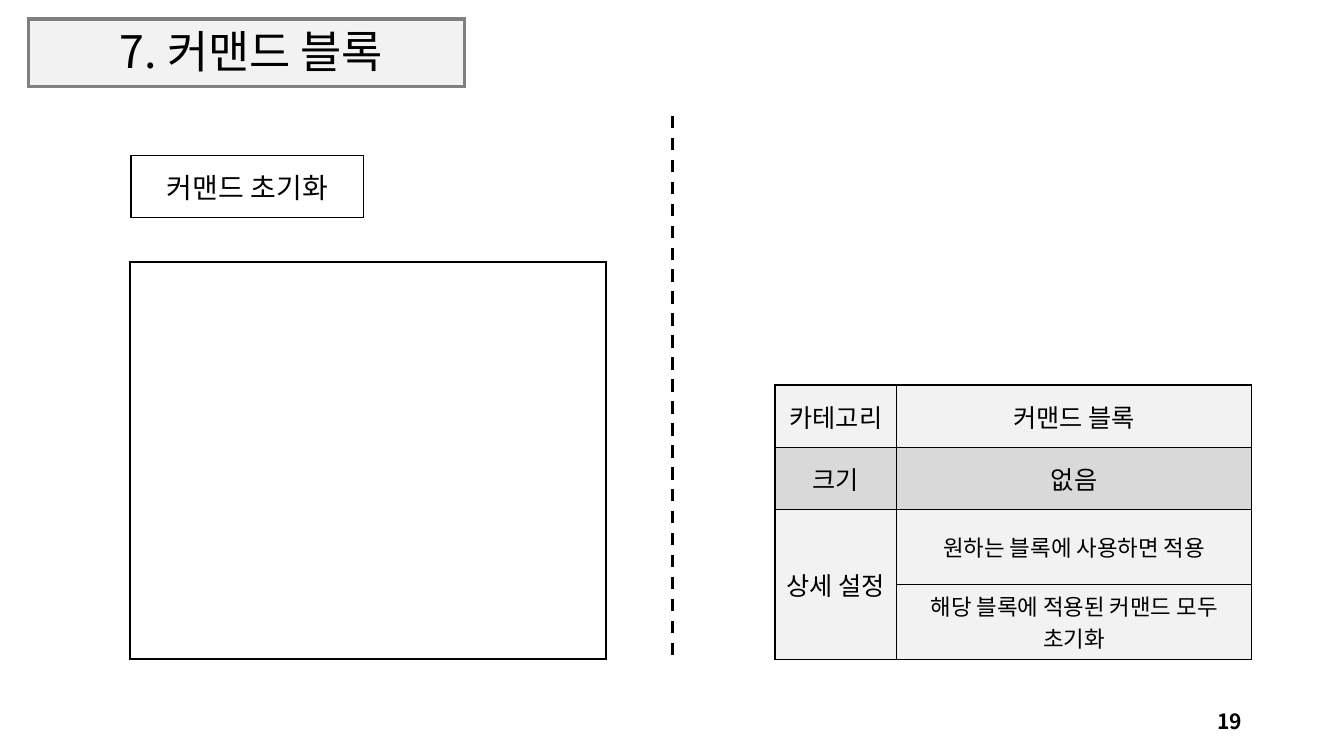
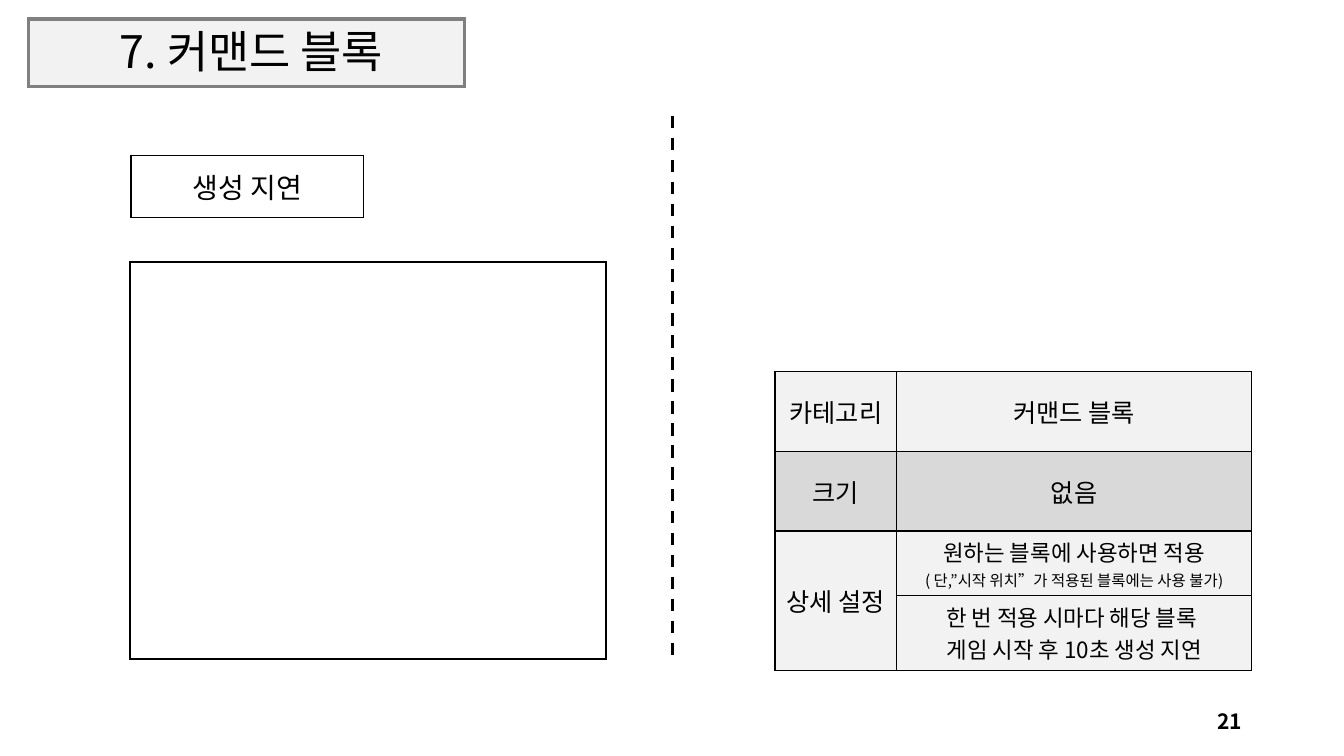
from pptx import Presentation
from pptx.dml.color import RGBColor
from pptx.enum.dml import MSO_LINE
from pptx.enum.shapes import MSO_CONNECTOR, MSO_SHAPE
from pptx.enum.text import MSO_ANCHOR, MSO_AUTO_SIZE, PP_ALIGN
from pptx.oxml import parse_xml
from pptx.oxml.ns import nsdecls
from pptx.util import Cm, Pt

FONT = "Noto Sans CJK KR"
BLACK = RGBColor(0x00, 0x00, 0x00)
WHITE = RGBColor(0xFF, 0xFF, 0xFF)
PALE = RGBColor(0xF2, 0xF2, 0xF2)
SILVER = RGBColor(0xD9, 0xD9, 0xD9)
GRAY = RGBColor(0x80, 0x80, 0x80)

BAND = (Cm(0.71), Cm(0.48), Cm(11), Cm(1.7))
TITLE = (Cm(1.07), Cm(0.46), Cm(10.54), Cm(1.65))
TAG = (Cm(3.3), Cm(3.91), Cm(5.87), Cm(1.57))
FRAME = (Cm(3.28), Cm(6.6), Cm(12), Cm(10.01))
PAGE = (Cm(23.93), Cm(17.65), Cm(7.62), Cm(1.02))
MID = Cm(16.94)
TOP, BASE = Cm(2.92), Cm(16.61)
LEFT = Cm(19.53)
COLS = (Cm(3.07), Cm(8.94))

SLIDES = [
    dict(page="19", name="커맨드 초기화", top=Cm(9.7),
         rows=(Cm(1.57), Cm(1.57), Cm(1.89), Cm(1.89)),
         notes=([("원하는 블록에 사용하면 적용", 16)],
                [("해당 블록에 적용된 커맨드 모두 초기화", 16)])),
    dict(page="21", name="생성 지연", top=Cm(9.36),
         rows=(Cm(2.01), Cm(2.01), Cm(1.62), Cm(1.89)),
         notes=([("원하는 블록에 사용하면 적용", 16),
                 ("( 단,”시작 위치”가 적용된 블록에는 사용 불가)", 11)],
                [("한 번 적용 시마다 해당 블록 ", 16),
                 ("게임 시작 후 10초 생성 지연", 16)])),
]


def write(frame, lines, align=PP_ALIGN.CENTER, bold=False, space=None):
    """Fill a text frame with (text, size) lines."""
    for i, (text, size) in enumerate(lines):
        para = frame.add_paragraph() if i else frame.paragraphs[0]
        para.alignment = align
        para.line_spacing = space
        run = para.add_run()
        run.text = text
        font = run.font
        font.name, font.size, font.bold = FONT, Pt(size), bold
        font.color.rgb = BLACK
        font._element.append(
            parse_xml(f'<a:ea {nsdecls("a")} typeface="{FONT}"/>'))


def add_box(slide, box, fill, color, width):
    shape = slide.shapes.add_shape(MSO_SHAPE.RECTANGLE, *box)
    shape.shadow.inherit = False
    if fill is None:
        shape.fill.background()
    else:
        shape.fill.solid()
        shape.fill.fore_color.rgb = fill
    shape.line.color.rgb = color
    shape.line.width = Pt(width)
    shape.element.spPr.ln.append(
        parse_xml(f'<a:miter {nsdecls("a")} lim="800000"/>'))
    return shape


def set_layout(layout, slide):
    """Move the title band, drawn on a slide, into the layout behind its title."""
    band = add_box(slide, BAND, PALE, GRAY, 2.25)
    layout.shapes.element.insert(2, band.element)
    title = layout.placeholders[0]
    title.left, title.top, title.width, title.height = TITLE
    title.text_frame.vertical_anchor = MSO_ANCHOR.BOTTOM
    title.text_frame.auto_size = MSO_AUTO_SIZE.NONE


def fill_cell(cell, lines, fill):
    cell.fill.solid()
    cell.fill.fore_color.rgb = fill
    cell.vertical_anchor = MSO_ANCHOR.MIDDLE
    write(cell.text_frame, lines)
    props = cell._tc.get_or_add_tcPr()
    for i, side in enumerate("LRTB"):
        props.insert(i, parse_xml(
            f'<a:ln{side} {nsdecls("a")} w="{Pt(1)}"><a:solidFill>'
            f'<a:srgbClr val="{BLACK}"/></a:solidFill></a:ln{side}>'))


def add_grid(slide, left, top, cols, rows):
    size = len(rows), len(cols)
    table = slide.shapes.add_table(
        *size, left, top, sum(cols), sum(rows)).table
    table.first_row = table.horz_banding = False
    for col, width in zip(table.columns, cols):
        col.width = width
    for row, height in zip(table.rows, rows):
        row.height = height
    return table


def add_tag(slide, name):
    left, top, width, height = TAG
    table = add_grid(slide, left, top, [width], [height])
    fill_cell(table.cell(0, 0), [(name, 20)], WHITE)


def add_facts(slide, top, rows, notes):
    """Place the property table of the block."""
    table = add_grid(slide, LEFT, top, COLS, rows)
    table.cell(2, 0).merge(table.cell(3, 0))
    cells = [
        ([("카테고리", 18)], [("커맨드 블록", 18)], PALE),
        ([("크기", 18)], [("없음", 18)], SILVER),
        ([("상세 설정", 18)], notes[0], PALE),
        ([], notes[1], PALE),
    ]
    for i, (label, value, fill) in enumerate(cells):
        fill_cell(table.cell(i, 0), label, fill)
        fill_cell(table.cell(i, 1), value, fill)


def add_rule(slide):
    rule = slide.shapes.add_connector(
        MSO_CONNECTOR.STRAIGHT, MID, TOP, MID, BASE)
    rule.line.color.rgb = BLACK
    rule.line.width = Pt(2.25)
    rule.line.dash_style = MSO_LINE.DASH
    rule.element.spPr.append(parse_xml(f'<a:effectLst {nsdecls("a")}/>'))


def add_page(slide, page):
    frame = slide.shapes.add_textbox(*PAGE).text_frame
    frame.word_wrap = True
    frame.vertical_anchor = MSO_ANCHOR.MIDDLE
    write(frame, [(page, 15)], align=PP_ALIGN.RIGHT, bold=True)


def add_block(slide, page, name, top, rows, notes):
    write(slide.shapes.title.text_frame, [("7. 커맨드 블록", 32)], space=0.9)
    add_page(slide, page)
    add_rule(slide)
    add_tag(slide, name)
    add_facts(slide, top, rows, notes)
    add_box(slide, FRAME, None, BLACK, 1.5)


def main():
    deck = Presentation()
    deck.slide_width, deck.slide_height = Cm(33.87), Cm(19.05)
    layout = deck.slide_layouts[5]
    for i, data in enumerate(SLIDES):
        slide = deck.slides.add_slide(layout)
        if i == 0:
            set_layout(layout, slide)
        add_block(slide, **data)
    deck.save("out.pptx")


if __name__ == "__main__":
    main()
